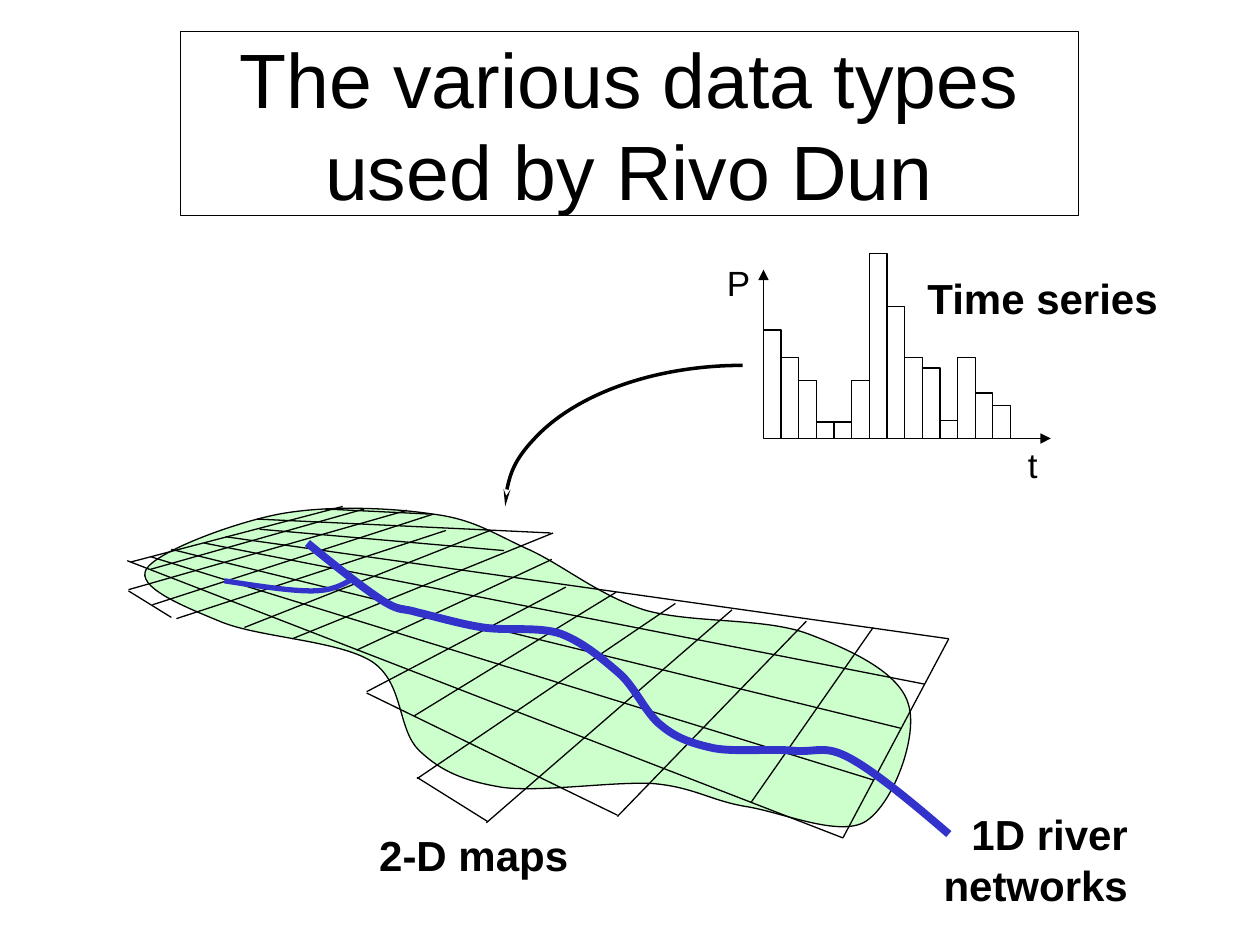
from lxml.etree import Element, SubElement
from pptx import Presentation
from pptx.dml.color import RGBColor
from pptx.enum.shapes import MSO_CONNECTOR, MSO_SHAPE
from pptx.enum.text import MSO_ANCHOR, MSO_AUTO_SIZE, PP_ALIGN
from pptx.oxml.ns import qn
from pptx.util import Inches, Pt

THEME = {
    "font": "Arial",
    "ink": RGBColor(0, 0, 0),
    "paper": RGBColor(255, 255, 255),
    "land": RGBColor(0xCC, 0xFF, 0xCC),
    "water": RGBColor(0x33, 0x33, 0xCC),
    "title": 44, "label": 24, "axis": 20,
    "thin": 0.75, "arrow": 2, "brook": 3, "river": 4.5,
}

TITLE = ("The various data types used by Rivo Dun", (1.43, 0.25, 7.13, 1.46))

# text, box, size, bold, wrap, alignment
LABELS = [
    ("t", (8.06, 3.47, 0.27, 0.44), "axis", False, False, PP_ALIGN.CENTER),
    ("P", (5.67, 2.02, 0.38, 0.44), "axis", False, False, PP_ALIGN.CENTER),
    ("Time series", (7.26, 2.11, 2.03, 0.5), "label", True, False, PP_ALIGN.CENTER),
    ("2-D maps", (2.91, 6.53, 1.7, 0.5), "label", True, False, PP_ALIGN.CENTER),
    ("1D river networks", (7.15, 6.37, 1.9, 0.9), "label", True, True, PP_ALIGN.RIGHT),
]

# Curves: a start point, then three points for each cubic Bezier piece
BASIN = [
    (3.43, 4.08), (3.1, 4.03), (2.6, 4.01), (2.22, 4.08),
    (1.85, 4.15), (1.24, 4.38), (1.16, 4.52),
    (1.08, 4.66), (1.45, 4.81), (1.74, 4.93),
    (2.04, 5.06), (2.68, 5.08), (2.95, 5.25),
    (3.21, 5.42), (3.15, 5.79), (3.33, 5.96),
    (3.5, 6.12), (3.68, 6.2), (3.99, 6.25),
    (4.3, 6.29), (4.87, 6.2), (5.19, 6.22),
    (5.51, 6.25), (5.63, 6.35), (5.91, 6.4),
    (6.19, 6.44), (6.66, 6.65), (6.87, 6.52),
    (7.09, 6.38), (7.29, 5.84), (7.21, 5.59),
    (7.14, 5.34), (6.76, 5.16), (6.41, 5.03),
    (6.06, 4.9), (5.48, 4.95), (5.11, 4.84),
    (4.74, 4.72), (4.45, 4.47), (4.17, 4.35),
    (3.89, 4.22), (3.75, 4.12), (3.43, 4.08),
]
RIVER = [
    (2.44, 4.31), (2.67, 4.5), (2.9, 4.68), (3.04, 4.77),
    (3.19, 4.86), (3.18, 4.82), (3.31, 4.86),
    (3.44, 4.89), (3.64, 4.95), (3.83, 4.98),
    (4.02, 5.01), (4.27, 4.97), (4.45, 5.03),
    (4.63, 5.1), (4.77, 5.22), (4.91, 5.34),
    (5.04, 5.45), (5.12, 5.66), (5.25, 5.76),
    (5.37, 5.86), (5.49, 5.9), (5.67, 5.94),
    (5.85, 5.97), (6.13, 5.94), (6.31, 5.96),
    (6.49, 5.97), (6.55, 5.91), (6.75, 6.02),
    (6.95, 6.13), (7.24, 6.37), (7.53, 6.62),
]
BROOK = [(1.78, 4.61), (2.04, 4.65), (2.3, 4.69), (2.47, 4.69),
         (2.64, 4.69), (2.72, 4.64), (2.81, 4.59)]
ARROW = (4.01, 2.9, 3.77, 2.24)

GRID = [
    (1.4, 4.91, 3.54, 4.21), (4.39, 4.23, 2.32, 5.07),
    (4.49, 4.66, 2.91, 5.49), (1.01, 4.45, 6.69, 6.65),
    (1.36, 4.36, 7.15, 5.78), (1.79, 4.26, 7.53, 5.07),
    (5.36, 4.79, 3.31, 6.18), (2.04, 4.12, 4.37, 4.23),
    (6.69, 6.65, 7.53, 5.07), (6.4, 4.93, 4.9, 6.48),
    (3.23, 4.05, 1.02, 4.68), (2.72, 4.02, 1.04, 4.46),
    (3.31, 6.17, 3.87, 6.52), (1.02, 4.69, 1.36, 4.9),
    (5.96, 6.37, 6.93, 4.98), (3.86, 6.53, 5.81, 4.84),
    (2.91, 5.5, 4.9, 6.47), (3.29, 5.68, 4.89, 4.7),
    (2.83, 5.16, 4.38, 4.44), (1.2, 4.42, 6.93, 6.19),
    (1.62, 4.31, 7.34, 5.43), (2.06, 4.2, 4, 4.37),
    (1.94, 4.98, 3.89, 4.21), (1.21, 4.8, 3.44, 4.08),
    (1.19, 4.52, 2.89, 4.04), (2.58, 4.04, 3.41, 4.08),
]

AXES = [(6.07, 3.48, 8.34, 3.48), (6.06, 3.48, 6.06, 2.14)]
BARS = [0.86, 0.64, 0.46, 0.13, 0.13, 0.46, 1.47,
        1.05, 0.64, 0.56, 0.14, 0.64, 0.36, 0.26]
BAR_X, BASE, BAR_W = 6.06, 3.48, 0.14


def inches(vals):
    return [Inches(v) for v in vals]


def ink(shape, width="thin", color="ink", **tip):
    shape.line.width = Pt(THEME[width])
    shape.line.color.rgb = THEME[color]
    if tip:
        SubElement(shape.line._get_or_add_ln(), qn("a:tailEnd"), **tip)


def paint(shape, fill=None):
    shape.shadow.inherit = False
    if fill:
        shape.fill.solid()
        shape.fill.fore_color.rgb = THEME[fill]
    else:
        shape.fill.background()


def bend(shape):
    """Turn each three line steps of a freeform into one cubic Bezier."""
    steps = list(shape._element.iter(qn("a:lnTo")))
    for i in range(0, len(steps), 3):
        cubic = Element(qn("a:cubicBezTo"))
        steps[i].addprevious(cubic)
        for step in steps[i:i + 3]:
            cubic.append(step[0])
            step.getparent().remove(step)


def curve(shapes, pts, fill=None, **line):
    first, *rest = [inches(p) for p in pts]
    pen = shapes.build_freeform(*first)
    pen.add_line_segments(rest, close=bool(fill))
    shape = pen.convert_to_shape()
    bend(shape)
    paint(shape, fill)
    ink(shape, **line)


def rule(shapes, ends, **tip):
    line = shapes.add_connector(MSO_CONNECTOR.STRAIGHT, *inches(ends))
    ink(line, **tip)
    SubElement(line._element.spPr, qn("a:effectLst"))


def write(shape, text, size, align, bold=False, **frame):
    tf = shape.text_frame
    tf.text = text
    for key, val in {"vertical_anchor": MSO_ANCHOR.MIDDLE, **frame}.items():
        setattr(tf, key, val)
    para = tf.paragraphs[0]
    para.alignment = align
    font = para.runs[0].font
    for key, val in {"name": THEME["font"], "size": Pt(THEME[size]),
                     "bold": bold}.items():
        setattr(font, key, val)
    font.color.rgb = THEME["ink"]


def main():
    prs = Presentation()
    prs.slide_width, prs.slide_height = Inches(10), Inches(7.5)
    shapes = prs.slides.add_slide(prs.slide_layouts[5]).shapes

    text, box = TITLE
    head = shapes.title
    for key, val in zip(("left", "top", "width", "height"), inches(box)):
        setattr(head, key, val)
    write(head, text, "title", PP_ALIGN.CENTER,
          word_wrap=True, auto_size=MSO_AUTO_SIZE.NONE)
    ink(head)

    curve(shapes, BASIN, fill="land")
    for ends in GRID:
        rule(shapes, ends)
    curve(shapes, RIVER, width="river", color="water")
    curve(shapes, BROOK, width="brook", color="water")

    arc = shapes.add_shape(MSO_SHAPE.ARC, *inches(ARROW))
    arc._element.spPr.get_or_add_xfrm().set("flipH", "1")
    paint(arc)
    ink(arc, width="arrow", type="stealth", w="sm", len="lg")

    for ends in AXES:
        rule(shapes, ends, type="triangle")
    for i, high in enumerate(BARS):
        bar = shapes.add_shape(MSO_SHAPE.RECTANGLE, *inches(
            (BAR_X + i * BAR_W, BASE - high, BAR_W, high)))
        paint(bar, "paper")
        ink(bar)

    for text, box, size, bold, wrap, align in LABELS:
        write(shapes.add_textbox(*inches(box)), text, size, align, bold,
              word_wrap=wrap, auto_size=MSO_AUTO_SIZE.SHAPE_TO_FIT_TEXT)

    prs.save("out.pptx")


if __name__ == "__main__":
    main()
